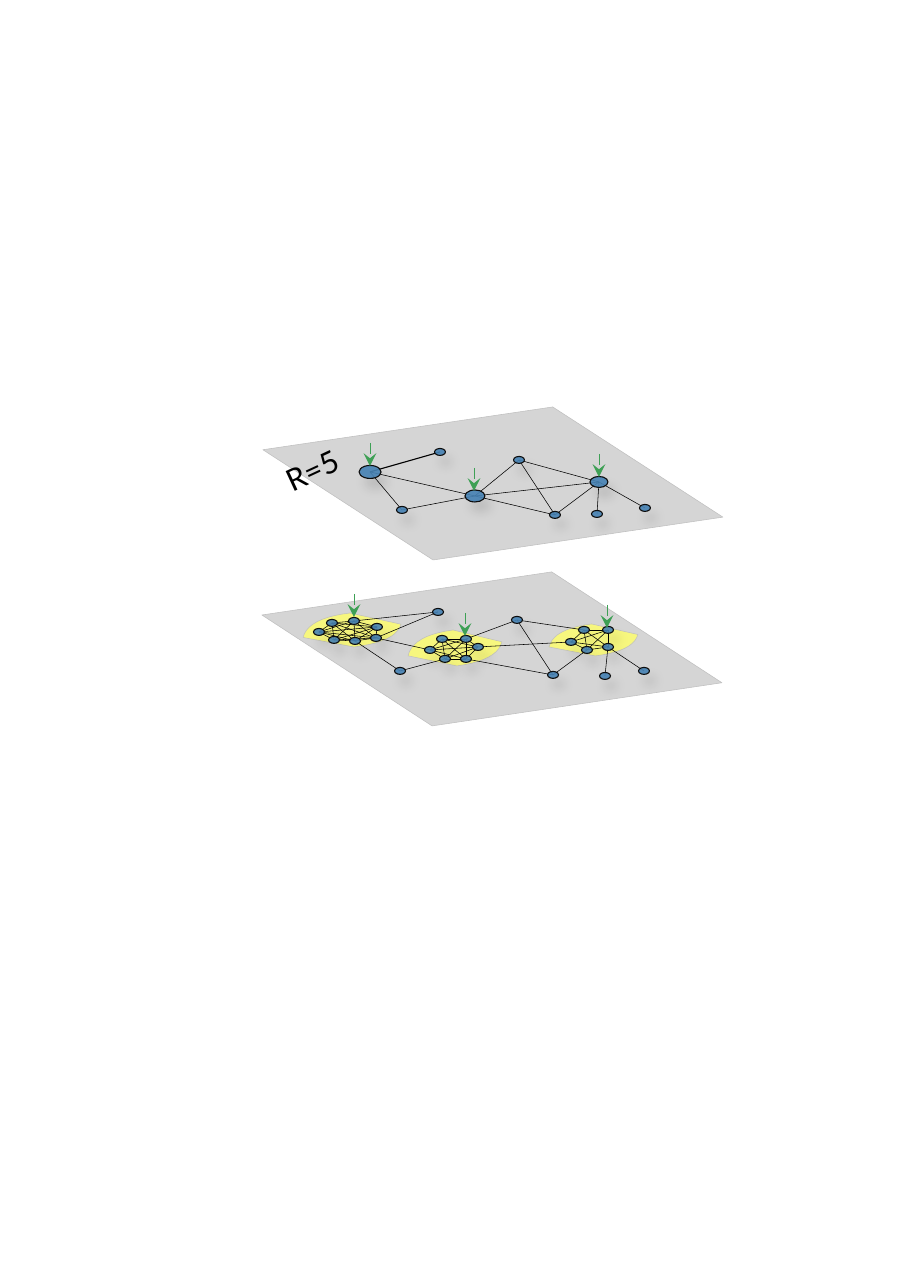
from itertools import combinations
from lxml.etree import SubElement
from pptx import Presentation
from pptx.dml.color import RGBColor
from pptx.enum.shapes import MSO_CONNECTOR as Link, MSO_SHAPE as Shape
from pptx.oxml.ns import qn
from pptx.util import Pt

SCALE = 914400 / 155.7
BLACK = RGBColor(0x00, 0x00, 0x00)
RIM = RGBColor(0x0D, 0x0D, 0x0D)
BLUE = RGBColor(0x46, 0x82, 0xB4)
GREEN = RGBColor(0x3E, 0xA0, 0x55)
SILVER = RGBColor(0xC0, 0xC0, 0xC0)
YELLOW = RGBColor(0xF7, 0xF7, 0x7E)
ARROW_LENGTH = 23
PLANE_OUTLINE = [(0, 0.28), (0.63, 0), (1, 0.72), (0.37, 1)]


def emu(pixels):
    return round(pixels * SCALE)


def set_alpha(shape, percent):
    color = shape.fill._xPr.find(qn("a:solidFill"))[0]
    SubElement(color, qn("a:alpha"), val=str(percent * 1000))


def add_soft_shadow(shape):
    effects = shape._element.spPr.find(qn("a:effectLst"))
    shadow = SubElement(effects, qn("a:outerShdw"), blurRad=str(Pt(5)),
                        dist=str(Pt(5)), dir="3600000", rotWithShape="0")
    color = SubElement(shadow, qn("a:srgbClr"), val="000000")
    SubElement(color, qn("a:alpha"), val="12000")


def add_line(page, start, end, color=BLACK, width=0.25):
    line = page.shapes.add_connector(
        Link.STRAIGHT, *(emu(value) for value in (*start, *end)))
    line.line.color.rgb = color
    line.line.width = Pt(width)
    SubElement(line._element.spPr, qn("a:effectLst"))
    return line


def add_arrow(page, tip):
    x, y = tip
    arrow = add_line(page, (x, y - ARROW_LENGTH), tip, GREEN)
    SubElement(arrow.line._get_or_add_ln(), qn("a:tailEnd"), type="stealth")


def add_node(page, center, width):
    x, y = center
    height = round(width * 0.6)
    node = page.shapes.add_shape(
        Shape.OVAL, emu(x - width / 2), emu(y - height / 2), emu(width), emu(height))
    node.shadow.inherit = False
    node.fill.solid()
    node.fill.fore_color.rgb = BLUE
    set_alpha(node, 90)
    node.line.color.rgb = RIM
    node.line.width = Pt(0.5)
    add_soft_shadow(node)


def add_outline(page, box, fractions, color):
    left, top, width, height = box
    points = [(emu(left + width * x), emu(top + height * y)) for x, y in fractions]
    builder = page.shapes.build_freeform(*points[0])
    builder.add_line_segments(points[1:], close=True)
    outline = builder.convert_to_shape()
    outline.shadow.inherit = False
    outline.fill.solid()
    outline.fill.fore_color.rgb = color
    outline.line.color.rgb = SILVER
    outline.line.width = Pt(0.25)
    return outline


def curve(start, control, end, steps=10):
    for step in range(steps + 1):
        t = step / steps
        yield tuple((1 - t) ** 2 * a + 2 * t * (1 - t) * b + t ** 2 * c
                    for a, b, c in zip(start, control, end))


def draw_layer(page, box, nodes, sizes, edges, patches, tips):
    left, top = box[:2]
    placed = {name: (left + x, top + y) for name, (x, y) in nodes.items()}
    plane = add_outline(page, box, PLANE_OUTLINE, SILVER)
    set_alpha(plane, 65)
    patch_outline = [*curve((0, 0.72), (0.05, 0.15), (0.48, 0)),
                     *curve((1, 0.33), (0.95, 0.85), (0.52, 1))]
    for x, y, width, height in patches:
        add_outline(page, (left + x, top + y, width, height), patch_outline, YELLOW)
    for start, end in edges:
        add_line(page, placed[start], placed[end],
                 width=0.5 if (start, end) == ("hub1", "north") else 0.25)
    for name, center in placed.items():
        add_node(page, center, sizes.get(name, 11))
    for x, y in tips:
        add_arrow(page, (left + x, top + y))


def draw_label(page, box):
    label = page.shapes.add_textbox(*(emu(value) for value in box))
    label.rotation = -25
    label.text_frame.word_wrap = True
    span = label.text_frame.paragraphs[0].add_run()
    span.text = "R=5"
    span.font.name = "Lato"
    span.font.size = Pt(14)
    span.font.color.rgb = BLACK


def pairs(text):
    return [tuple(pair.split("-")) for pair in text.split()]


HUB_NODES = {
    "hub1": (107, 65), "hub2": (212, 89), "hub3": (336, 75),
    "north": (177, 45), "south": (139, 103), "peak": (256, 53),
    "base": (292, 108), "leaf1": (334, 107), "leaf2": (382, 101),
}
HUB_SIZES = {"hub1": 22, "hub2": 20, "hub3": 18}
HUB_EDGES = pairs(
    "hub1-south hub1-hub2 south-hub2 hub1-north hub2-peak hub2-hub3 "
    "hub2-base peak-hub3 hub3-base peak-base hub3-leaf1 hub3-leaf2")
HUB_TIPS = [(107, 59), (211, 84), (336, 70)]

CLUSTERS = {
    "a": [(70, 51), (57, 60), (72, 68), (92, 49), (115, 55), (93, 69), (114, 66)],
    "b": [(180, 67), (168, 78), (183, 87), (204, 67), (204, 87), (216, 75)],
    "c": [(322, 58), (309, 70), (325, 78), (346, 58), (346, 75)],
}
MEMBERS = {key: {f"{key}{index}": center for index, center in enumerate(centers)}
           for key, centers in CLUSTERS.items()}
FULL_NODES = {
    "north": (176, 40), "south": (138, 99), "peak": (255, 48),
    "base": (291, 103), "leaf1": (343, 104), "leaf2": (382, 99),
}
FULL_EDGES = pairs(
    "a5-south a6-b1 south-b2 a6-north a3-north b3-peak b5-c1 b4-base "
    "peak-c0 c2-base peak-base c4-leaf1 c4-leaf2")
for group in MEMBERS.values():
    FULL_NODES.update(group)
    FULL_EDGES.extend(combinations(group, 2))
PATCHES = [(41, 41, 98, 34), (146, 58, 94, 36), (287, 52, 89, 32)]
FULL_TIPS = [(92, 45), (203, 64), (345, 56)]

deck = Presentation()
deck.slide_width, deck.slide_height = emu(920), emu(1288)
page = deck.slides.add_slide(deck.slide_layouts[6])
draw_layer(page, (263, 407, 460, 153), HUB_NODES, HUB_SIZES, HUB_EDGES, [], HUB_TIPS)
draw_layer(page, (262, 572, 460, 154), FULL_NODES, {}, FULL_EDGES, PATCHES, FULL_TIPS)
draw_label(page, (266, 427, 164, 53))
deck.save("out.pptx")
